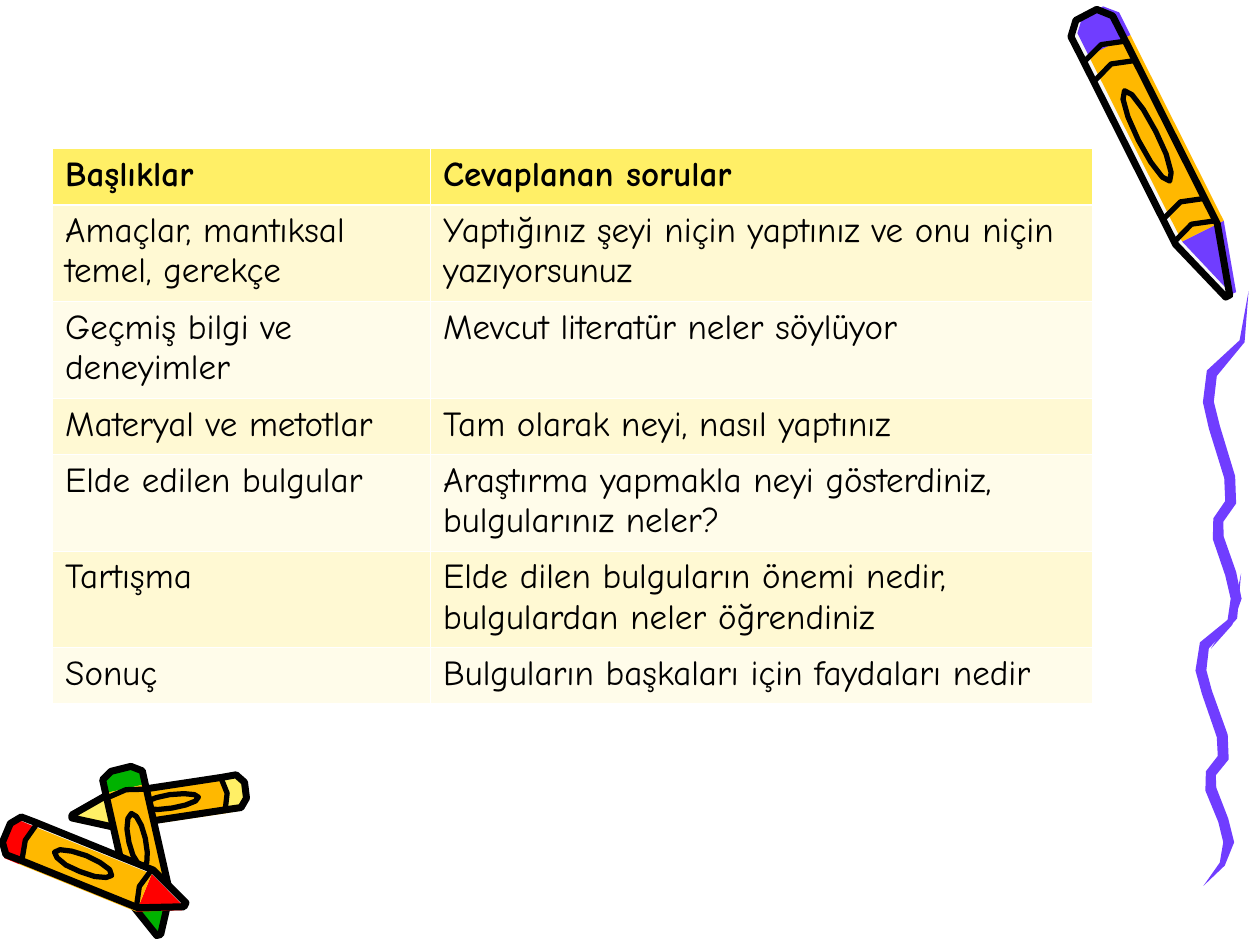
from dataclasses import dataclass
from math import cos, hypot, pi, sin

from lxml import etree
from pptx import Presentation
from pptx.dml.color import RGBColor
from pptx.oxml.ns import qn
from pptx.util import Cm, Pt

BLANK_LAYOUT = 6
GRID = Cm(0.01)  # drawing unit of the freeforms, so that they take fractions of a cm


@dataclass(frozen=True)
class Theme:
    font: str = "Comic Neue"
    text_size: float = 20
    black: str = "000000"
    white: str = "FFFFFF"
    paper: str = "F8F8F8"
    violet: str = "703DFF"
    orange: str = "FFB800"
    red: str = "FF0000"
    green: str = "00B200"
    yellow: str = "FFEF66"
    band_dark: str = "FFF9D3"
    band_light: str = "FFFCEA"
    thin_rule: float = 0.45
    header_rule: float = 1.47
    ink: float = 4
    fine_ink: float = 3


THEME = Theme()


@dataclass(frozen=True)
class Crayon:
    """A crayon from tail to tip in cm; slip moves its colour sideways off the ink."""
    tail: tuple
    tip: tuple
    half_width: float
    colour: str
    slip: float
    bands: tuple

    def place(self, along, across):
        """Turn a share of the length and of the half width into a slide position."""
        run, drop = self.tip[0] - self.tail[0], self.tip[1] - self.tail[1]
        side = across * self.half_width / hypot(run, drop)
        return (self.tail[0] + along * run - side * drop,
                self.tail[1] + along * drop + side * run)


BIG_CRAYON = Crayon((21.9, 0.3), (24.75, 5.97), 0.47, THEME.violet, -0.3,
                    (0.13, 0.2, 0.69, 0.77))
SMALL_CRAYONS = [
    Crayon((4.95, 15.93), (1.45, 16.46), 0.33, THEME.yellow, -0.2, (0.13,)),
    Crayon((2.44, 15.5), (3.2, 18.85), 0.41, THEME.green, -0.1, (0.15,)),
    Crayon((0.13, 16.79), (3.73, 18.24), 0.41, THEME.red, 0.2, (0.13, 0.77)),
]

# Crayon parts as (share of length, share of half width).
WRAPPER_START, WRAPPER_END = 0.12, 0.78
TAIL = [(WRAPPER_START, -1), (0.04, -1), (0, -0.5), (0, 0.5), (0.04, 1), (WRAPPER_START, 1)]
POINT = [(WRAPPER_END, 1), (1, 0.1), (1, -0.1), (WRAPPER_END, -1)]
WRAPPER = [(WRAPPER_START, -1), (WRAPPER_START, 1), (WRAPPER_END, 1), (WRAPPER_END, -1)]
LABEL_CENTRE, LABEL_LENGTH, LABEL_WIDTH, LABEL_STEPS = 0.43, 0.16, 0.42, 12
LABEL = [(LABEL_CENTRE + LABEL_LENGTH * cos(2 * pi * step / LABEL_STEPS),
          LABEL_WIDTH * sin(2 * pi * step / LABEL_STEPS)) for step in range(LABEL_STEPS)]
BAND_BOW = 0.025

# Turns of the trail: cm from its start to the side, and share of its height.
TRAIL_TURNS = [(0, 0), (-0.13, 0.14), (-0.74, 0.23), (-0.81, 0.31), (-0.69, 0.38),
               (-0.38, 0.52), (-0.36, 0.59), (-0.61, 0.64), (-0.61, 0.69),
               (-0.36, 0.79), (-0.25, 0.86), (-0.38, 0.93), (-0.76, 1)]
TRAIL_HALF_WIDTH = 0.11
LOWER_TRAIL = dict(start=(25.02, 11.56), height=6.3)
UPPER_TRAIL = dict(start=(25.17, 5.87), height=7.21)

ROWS = [
    ("Başlıklar", "Cevaplanan sorular"),
    ("Amaçlar, mantıksal temel, gerekçe",
     "Yaptığınız şeyi niçin yaptınız ve onu niçin yazıyorsunuz"),
    ("Geçmiş bilgi ve deneyimler", "Mevcut literatür neler söylüyor"),
    ("Materyal ve metotlar", "Tam olarak neyi, nasıl yaptınız"),
    ("Elde edilen bulgular",
     "Araştırma yapmakla neyi gösterdiniz, bulgularınız neler?"),
    ("Tartışma",
     "Elde dilen bulguların önemi nedir, bulgulardan neler öğrendiniz"),
    ("Sonuç", "Bulguların başkaları için faydaları nedir"),
]
ONE_LINE, TWO_LINES = Cm(1.13), Cm(1.95)
ROW_HEIGHTS = [ONE_LINE, TWO_LINES, TWO_LINES, ONE_LINE, TWO_LINES, TWO_LINES, ONE_LINE]
COLUMN_WIDTHS = [Cm(7.62), Cm(13.34)]


def rgb(value):
    return RGBColor.from_string(value)


def draw(slide, points, *, fill=None, ink=None, close=True):
    """Draw corners given in cm, filled with a colour, inked with a pen width, or both."""
    start, *others = [(x * Cm(1) / GRID, y * Cm(1) / GRID) for x, y in points]
    builder = slide.shapes.build_freeform(*start, scale=GRID)
    builder.add_line_segments(others, close=close)
    outline = builder.convert_to_shape()
    outline.shadow.inherit = False
    if fill:
        outline.fill.solid()
        outline.fill.fore_color.rgb = rgb(fill)
    else:
        outline.fill.background()
    if ink:
        outline.line.color.rgb = rgb(THEME.black)
        outline.line.width = Pt(ink)
    else:
        outline.line.fill.background()


def add_crayon(slide, crayon):
    def add_part(part, slip=0, **style):
        draw(slide, [crayon.place(along, across + slip) for along, across in part], **style)

    add_part(TAIL + POINT, fill=THEME.paper)
    for part, fill in ((TAIL, crayon.colour), (POINT, crayon.colour), (WRAPPER, THEME.orange)):
        add_part(part, crayon.slip, fill=fill)
    add_part(TAIL + POINT, ink=THEME.ink)
    add_part(LABEL, ink=THEME.fine_ink)
    for band in crayon.bands:
        bow = [(band, -1), (band - BAND_BOW, 0), (band, 1)]
        add_part(bow, ink=THEME.fine_ink, close=False)


def add_trail(slide, *, start, height):
    """Draw a wavy stroke that is thick between its two pointed ends."""
    centres = [(start[0] + shift, start[1] + share * height) for shift, share in TRAIL_TURNS]
    left, right = [], []
    neighbours = zip(centres[:1] + centres, centres, centres[1:] + centres[-1:])
    for index, (before, (x, y), after) in enumerate(neighbours):
        run, drop = after[0] - before[0], after[1] - before[1]
        swell = TRAIL_HALF_WIDTH * min(1, 2 * sin(pi * index / (len(centres) - 1)))
        across, down = (swell * part / hypot(run, drop) for part in (drop, -run))
        left.append((x - across, y - down))
        right.append((x + across, y + down))
    draw(slide, left + right[::-1], fill=THEME.violet)


def write(frame, text, *, size=THEME.text_size, bold=False, colour=THEME.black):
    run = frame.paragraphs[0].add_run()
    run.text = text
    run.font.name = THEME.font
    run.font.size = Pt(size)
    run.font.bold = bold
    run.font.color.rgb = rgb(colour)


def set_borders(cell, **widths):
    properties = cell._tc.get_or_add_tcPr()
    for side in "LRTB":
        width = Pt(widths.get(side, THEME.thin_rule))
        border = etree.SubElement(properties, qn(f"a:ln{side}"), w=str(width))
        paint = etree.SubElement(border, qn("a:solidFill"))
        etree.SubElement(paint, qn("a:srgbClr"), val=THEME.white)


def add_question_table(slide):
    table = slide.shapes.add_table(
        len(ROWS), len(COLUMN_WIDTHS), Cm(1.06), Cm(3),
        sum(COLUMN_WIDTHS), sum(ROW_HEIGHTS)).table
    for column, width in zip(table.columns, COLUMN_WIDTHS):
        column.width = width
    heavy_sides = {0: {"B": THEME.header_rule}, 1: {"T": THEME.header_rule}}
    for index, (row, height, texts) in enumerate(zip(table.rows, ROW_HEIGHTS, ROWS)):
        row.height = height
        band = THEME.band_dark if index % 2 else THEME.band_light
        for cell, text in zip(row.cells, texts):
            set_borders(cell, **heavy_sides.get(index, {}))
            cell.fill.solid()
            cell.fill.fore_color.rgb = rgb(band if index else THEME.yellow)
            write(cell.text_frame, text, bold=index == 0)


def main():
    deck = Presentation()
    deck.slide_width, deck.slide_height = Cm(25.4), Cm(19.05)
    slide = deck.slides.add_slide(deck.slide_layouts[BLANK_LAYOUT])
    for trail in (LOWER_TRAIL, UPPER_TRAIL):
        add_trail(slide, **trail)
    for crayon in (*SMALL_CRAYONS, BIG_CRAYON):
        add_crayon(slide, crayon)
    add_question_table(slide)
    deck.save("out.pptx")


if __name__ == "__main__":
    main()
